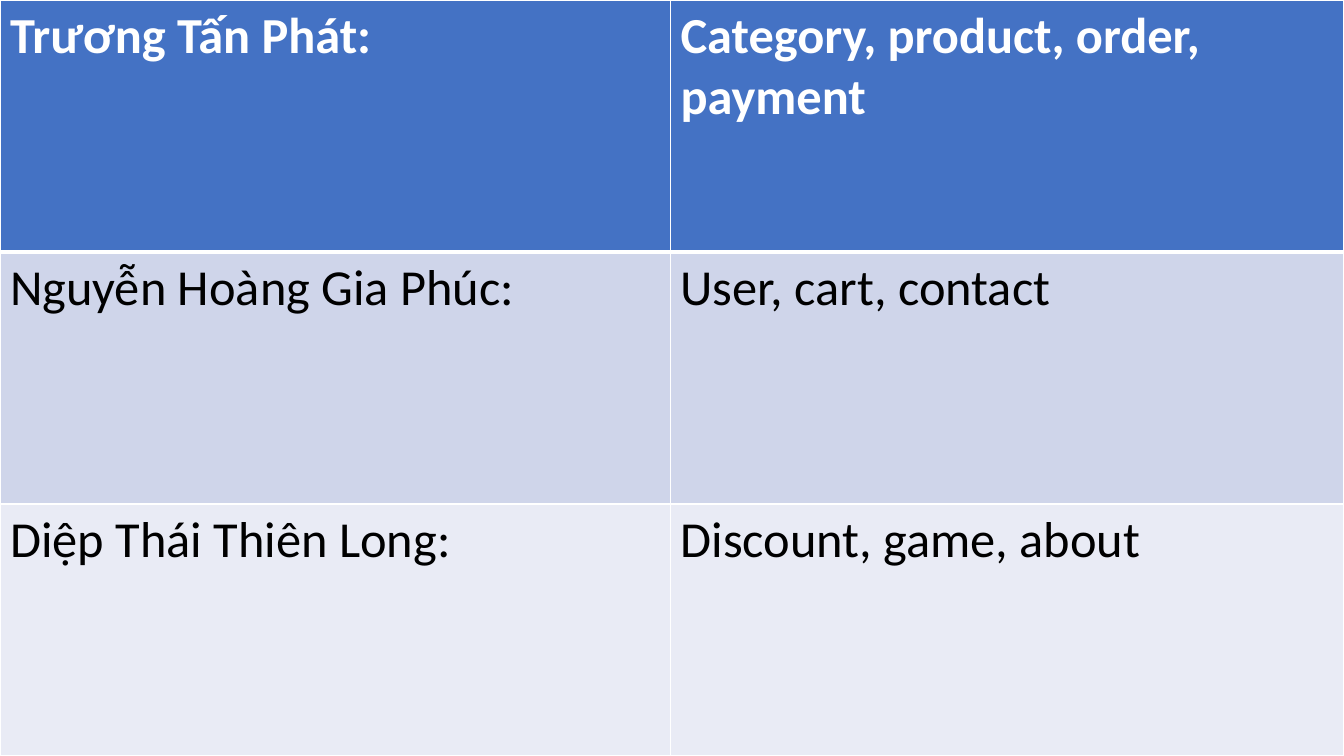
import pptx
import pptx.dml.color
import pptx.oxml.ns
import pptx.util
from lxml import etree

Inches = pptx.util.Inches
RGBColor = pptx.dml.color.RGBColor

WHITE = RGBColor(0xFF, 0xFF, 0xFF)
BLACK = RGBColor(0x00, 0x00, 0x00)
HEADER_BLUE = RGBColor(0x44, 0x72, 0xC4)
BAND_DARK = RGBColor(0xCF, 0xD5, 0xEA)
BAND_LIGHT = RGBColor(0xE9, 0xEB, 0xF5)

SLIDE_WIDTH, SLIDE_HEIGHT = 13.33, 7.5
MEMBER_WIDTH = 6.65

ASSIGNMENTS = [
    ("Trương Tấn Phát:", "Category, product, order, payment"),
    ("Nguyễn Hoàng Gia Phúc:", "User, cart, contact"),
    ("Diệp Thái Thiên Long:", "Discount, game, about"),
]
ROW_FILLS = [HEADER_BLUE, BAND_DARK, BAND_LIGHT]


def set_borders(cell, top, bottom):
    """Give a cell white borders, with the top and bottom widths in points."""
    properties = cell._tc.get_or_add_tcPr()
    qn = pptx.oxml.ns.qn
    for side, width in (("L", 1), ("R", 1), ("T", top), ("B", bottom)):
        line = etree.SubElement(properties, qn(f"a:ln{side}"), w=str(pptx.util.Pt(width)))
        fill = etree.SubElement(line, qn("a:solidFill"))
        etree.SubElement(fill, qn("a:srgbClr"), val=str(WHITE))


def fill_cell(cell, text, row):
    is_header = row == 0
    set_borders(cell, top=3 if row == 1 else 1, bottom=3 if is_header else 1)
    cell.fill.solid()
    cell.fill.fore_color.rgb = ROW_FILLS[row]
    cell.text_frame.text = text
    font = cell.text_frame.paragraphs[0].runs[0].font
    font.name = "Calibri"
    font.size = pptx.util.Pt(36)
    font.bold = is_header
    font.color.rgb = WHITE if is_header else BLACK


def add_assignment_table(slide, left, top, width, height):
    table = slide.shapes.add_table(
        len(ASSIGNMENTS), 2, Inches(left), Inches(top), Inches(width), Inches(height)
    ).table
    table.columns[0].width = Inches(MEMBER_WIDTH)
    table.columns[1].width = Inches(width - MEMBER_WIDTH)
    for row, assignment in enumerate(ASSIGNMENTS):
        for column, text in enumerate(assignment):
            fill_cell(table.cell(row, column), text, row)


def main():
    presentation = pptx.Presentation()
    presentation.slide_width = Inches(SLIDE_WIDTH)
    presentation.slide_height = Inches(SLIDE_HEIGHT)
    slide = presentation.slides.add_slide(presentation.slide_layouts[6])
    add_assignment_table(slide, 0, 0, SLIDE_WIDTH, SLIDE_HEIGHT)
    presentation.save("out.pptx")


if __name__ == "__main__":
    main()
